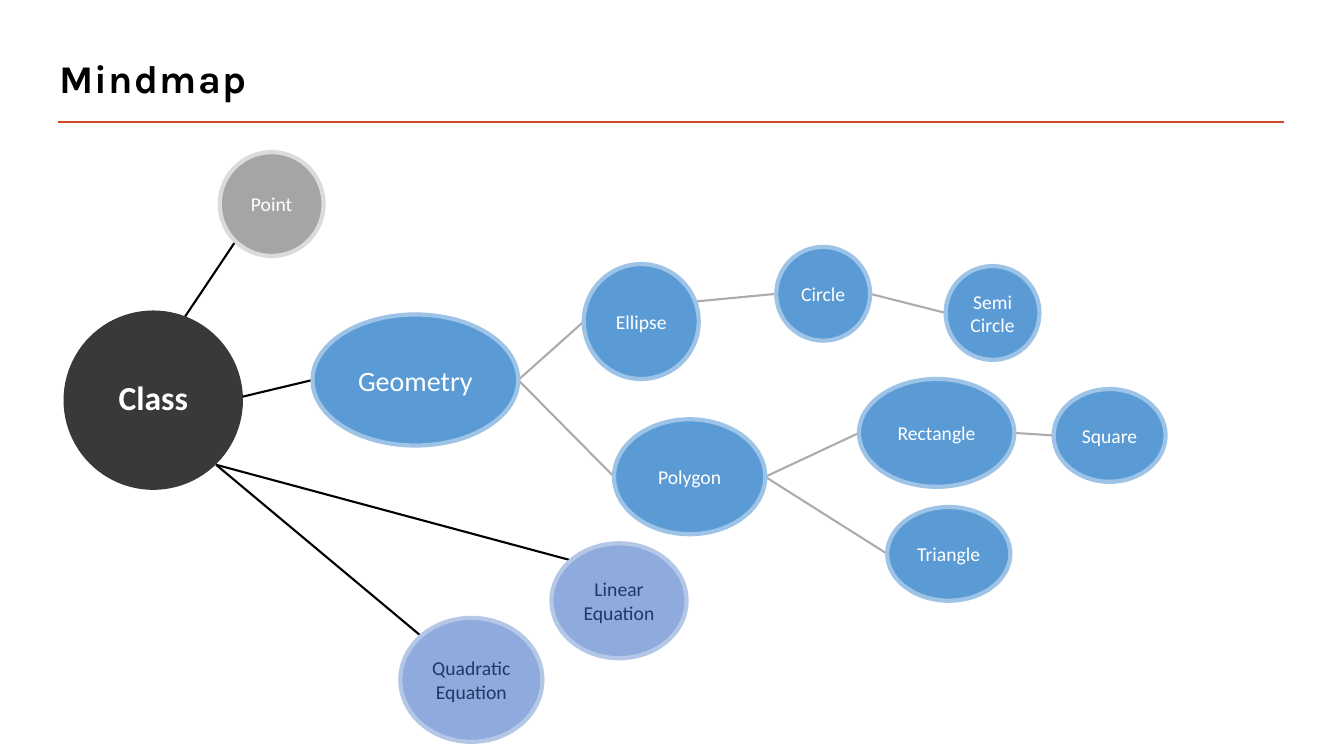
from lxml import etree
from pptx import Presentation
from pptx.dml.color import RGBColor
from pptx.enum.shapes import MSO_CONNECTOR, MSO_SHAPE
from pptx.enum.text import MSO_ANCHOR, PP_ALIGN
from pptx.oxml.ns import qn
from pptx.util import Inches, Pt

BLACK = RGBColor(0x00, 0x00, 0x00)
WHITE = RGBColor(0xFF, 0xFF, 0xFF)
RED = RGBColor(0xD2, 0x47, 0x26)
CHARCOAL = RGBColor(0x3B, 0x38, 0x38)
LINK_GREY = RGBColor(0xAF, 0xAB, 0xAB)
GREY, PALE_GREY = RGBColor(0xA5, 0xA5, 0xA5), RGBColor(0xDB, 0xDB, 0xDB)
BLUE, PALE_BLUE = RGBColor(0x5B, 0x9B, 0xD5), RGBColor(0x9D, 0xC3, 0xE6)
LILAC, PALE_LILAC = RGBColor(0x8F, 0xAA, 0xDC), RGBColor(0xB4, 0xC7, 0xE7)
NAVY = RGBColor(0x20, 0x38, 0x64)

# Grid: square cells of a tenth of an inch
CELL = Inches(0.1)

# Fill, outline and text colour of each branch
ROOT = (CHARCOAL, None, WHITE)
POINT = (GREY, PALE_GREY, WHITE)
SHAPES = (BLUE, PALE_BLUE, WHITE)
EQUATIONS = (LILAC, PALE_LILAC, NAVY)

# Topic: left, top, width, height in cells, branch, text size, lines of text
topics = {
    "Class": (6.3, 30.8, 17.8, 17.8, ROOT, 24, []),
    "Point": (21.8, 15.1, 10.3, 10.3, POINT, 14, ["Point"]),
    "Geometry": (31, 31.2, 20.4, 13, SHAPES, 20, ["Geometry"]),
    "Ellipse": (57.9, 26.2, 11.4, 11.4, SHAPES, 14, ["Ellipse"]),
    "Circle": (77, 24.5, 9.3, 9.3, SHAPES, 14, ["Circle"]),
    "Semi Circle": (93.8, 26.4, 9.3, 9.3, SHAPES, 14, ["Semi", "Circle"]),
    "Polygon": (60.9, 41.6, 15, 11.4, SHAPES, 14, ["Polygon"]),
    "Rectangle": (85.2, 37.6, 15.4, 10.7, SHAPES, 14, ["Rectangle"]),
    "Square": (104.5, 38.6, 11.1, 9.2, SHAPES, 14, ["Square"]),
    "Triangle": (88, 50.3, 12.2, 9.3, SHAPES, 14, ["Triangle"]),
    "Linear": (54.7, 53.9, 13.4, 11.4, EQUATIONS, 14, ["Linear Equation"]),
    "Quadratic": (39.7, 61.3, 14.1, 12.3, EQUATIONS, 14, ["Quadratic Equation"]),
}

# Places on an ellipse, as shares of its width and height
LEFT, RIGHT = (0, 0.5), (1, 0.5)
UPPER_LEFT, LOWER_LEFT, LOWER_RIGHT = (0.15, 0.15), (0.15, 0.86), (0.85, 0.86)

# Parent, place on it, child, place on it, colour
links = [
    ("Class", (0.66, 0.06), "Point", LOWER_LEFT, BLACK),
    ("Class", (1, 0.48), "Geometry", LEFT, BLACK),
    ("Class", LOWER_RIGHT, "Linear", UPPER_LEFT, BLACK),
    ("Class", LOWER_RIGHT, "Quadratic", UPPER_LEFT, BLACK),
    ("Geometry", RIGHT, "Ellipse", LEFT, LINK_GREY),
    ("Geometry", RIGHT, "Polygon", LEFT, LINK_GREY),
    ("Ellipse", (0.82, 0.34), "Circle", LEFT, LINK_GREY),
    ("Circle", RIGHT, "Semi Circle", LEFT, LINK_GREY),
    ("Polygon", RIGHT, "Rectangle", LEFT, LINK_GREY),
    ("Polygon", RIGHT, "Triangle", LEFT, LINK_GREY),
    ("Rectangle", RIGHT, "Square", LEFT, LINK_GREY),
]

prs = Presentation()
prs.slide_width, prs.slide_height = Inches(13.33), Inches(7.5)
slide = prs.slides.add_slide(prs.slide_layouts[6])


def add_line(start, end, color, width):
    points = [round(v * CELL) for v in (*start, *end)]
    line = slide.shapes.add_connector(MSO_CONNECTOR.STRAIGHT, *points)
    line.line.color.rgb = color
    line.line.width = Pt(width)
    etree.SubElement(line._element.spPr, qn("a:effectLst"))


def add_run(paragraph, text, size, color, font="Calibri", bold=False):
    run = paragraph.add_run()
    run.text = text
    run.font.name, run.font.size, run.font.bold = font, Pt(size), bold
    run.font.color.rgb = color
    return run


# Title and its rule
add_line((5.8, 12.1), (127.4, 12.1), RED, 2)
title = slide.shapes.add_textbox(*[round(v * CELL) for v in (4.9, 4.5, 100, 7)])
title.text_frame.word_wrap = True
title.text_frame.vertical_anchor = MSO_ANCHOR.MIDDLE
heading = title.text_frame.paragraphs[0]
heading.line_spacing = 0.9
add_run(heading, "Mindmap", 28, BLACK, "Karla", True).font._element.set("spc", "90")

# Links, behind the topics
for parent, parent_place, child, child_place, color in links:
    ends = []
    for topic, (across, down) in ((parent, parent_place), (child, child_place)):
        left, top, width, height = topics[topic][:4]
        ends.append((left + across * width, top + down * height))
    add_line(*ends, color, 1.5)

# Topics
for *box, (fill, outline, ink), size, lines in topics.values():
    bubble = slide.shapes.add_shape(MSO_SHAPE.OVAL, *[round(v * CELL) for v in box])
    bubble.shadow.inherit = False
    bubble.fill.solid()
    bubble.fill.fore_color.rgb = fill
    if outline:
        bubble.line.color.rgb = outline
        bubble.line.width = Pt(3)
    else:
        bubble.line.fill.background()
    frame = bubble.text_frame
    frame.word_wrap = True
    frame.margin_left = frame.margin_right = Inches(0.05)
    frame.vertical_anchor = MSO_ANCHOR.MIDDLE
    for i, text in enumerate(lines):
        paragraph = frame.add_paragraph() if i else frame.paragraphs[0]
        paragraph.alignment = PP_ALIGN.CENTER
        add_run(paragraph, text, size, ink)

# Label of the root, a little above its middle
label = slide.shapes.add_textbox(*[round(v * CELL) for v in (6.3, 36.9, 17.8, 5)])
label.text_frame.word_wrap = True
label.text_frame.paragraphs[0].alignment = PP_ALIGN.CENTER
add_run(label.text_frame.paragraphs[0], "Class", 24, WHITE, bold=True)

prs.save("out.pptx")
